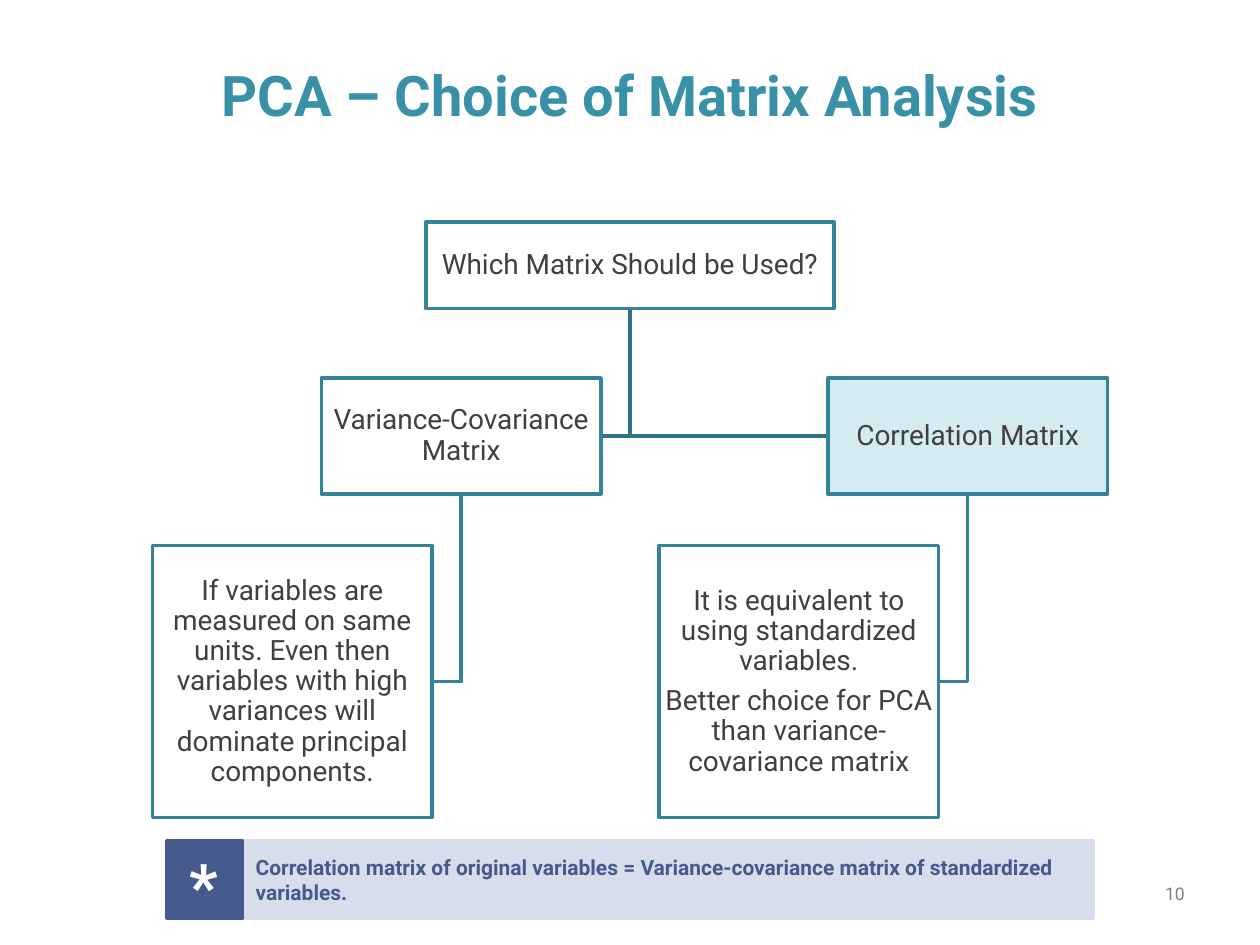
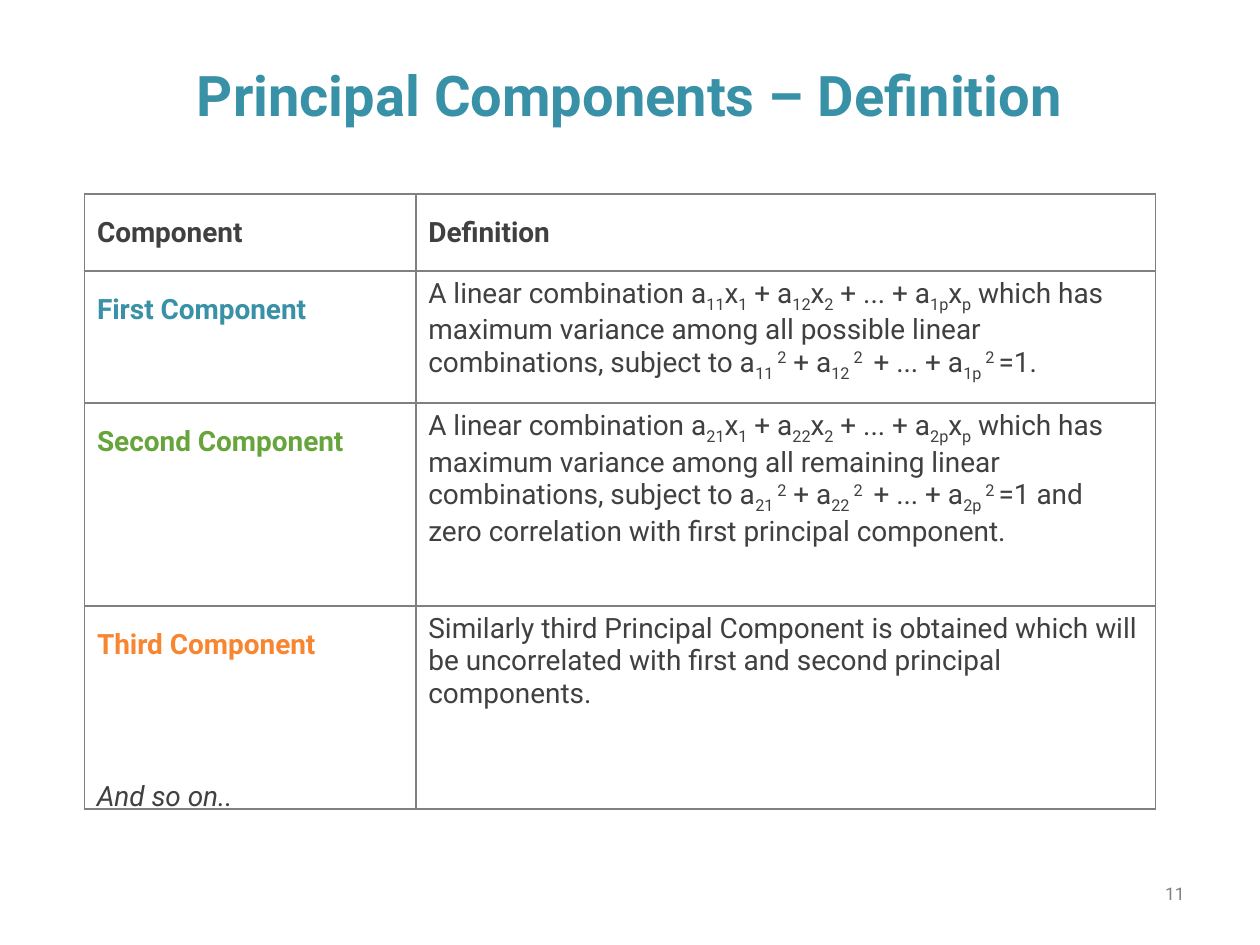
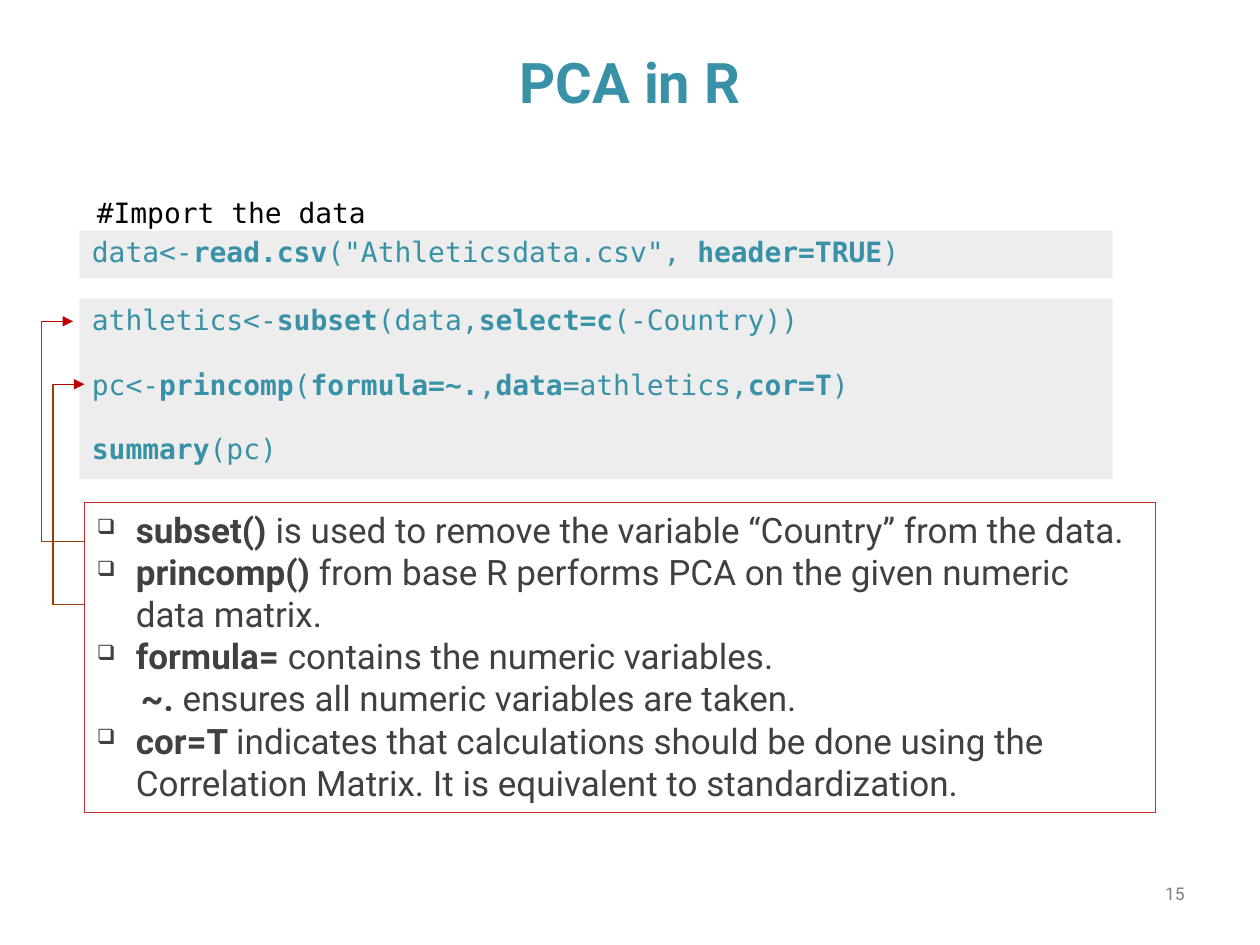
"""Builds three slides on principal component analysis: choice of matrix, definitions, R code."""
from lxml.etree import SubElement
from pptx import Presentation
from pptx.dml.color import RGBColor
from pptx.enum.shapes import MSO_CONNECTOR, MSO_SHAPE
from pptx.enum.text import MSO_ANCHOR, PP_ALIGN
from pptx.oxml.ns import qn
from pptx.util import Inches, Pt

TEAL = RGBColor(0x38, 0x91, 0xA7)
BOX_LINE = RGBColor(0x33, 0x84, 0x98)
BRANCH_LINE = RGBColor(0x2D, 0x74, 0x86)
PALE_TEAL = RGBColor(0xD4, 0xEB, 0xF1)
GREEN = RGBColor(0x67, 0xA5, 0x3C)
ORANGE = RGBColor(0xF8, 0x86, 0x31)
DARK = RGBColor(0x40, 0x40, 0x40)
GRAY = RGBColor(0x80, 0x80, 0x80)
CODE_GRAY = RGBColor(0xA6, 0xA6, 0xA6)
NAVY = RGBColor(0x47, 0x5A, 0x8D)
PALE_NAVY = RGBColor(0xD7, 0xDD, 0xEB)
RED = RGBColor(0xC3, 0x2D, 0x2E)
ARROW_RED = RGBColor(0xC0, 0, 0)
BROWN = RGBColor(0x96, 0x41, 0x01)
WHITE = RGBColor(0xFF, 0xFF, 0xFF)
BLACK = RGBColor(0, 0, 0)

SANS = "Roboto"
MONO = "DejaVu Sans Mono"
PLAIN_TABLE = "{2D5ABB26-0587-4C30-8999-92F81FD0307C}"
BASELINES = {"_": "-25000", "^": "30000"}

NODES = {
    "question": ((3.38, 1.76, 3.24, 0.69), WHITE, ["Which Matrix Should be Used?"]),
    "covariance": ((2.55, 3, 2.22, 0.92), WHITE, ["Variance-Covariance Matrix"]),
    "correlation": ((6.57, 3, 2.22, 0.92), PALE_TEAL, ["Correlation Matrix"]),
    "same units": ((1.21, 4.33, 2.22, 2.16), WHITE, [
        "If variables are measured on same units. Even then variables with high "
        "variances will dominate principal components."]),
    "standardized": ((5.23, 4.33, 2.22, 2.16), WHITE, [
        "It is equivalent to using standardized variables.",
        "Better choice for PCA than variance-covariance matrix"]),
}
BRANCHES = [
    ("correlation", "standardized", BOX_LINE),
    ("question", "correlation", BRANCH_LINE),
    ("covariance", "same units", BOX_LINE),
    ("question", "covariance", BRANCH_LINE),
]
NOTE = ("Correlation matrix of original variables = "
        "Variance-covariance matrix of standardized variables.")


def definition(number, kind, ending):
    """Return the marked-up definition of one numbered component."""
    return (f"A linear combination a|_{number}1|x|_1| + a|_{number}2|x|_2| + ... + "
            f"a|_{number}p|x|_p| which has maximum variance among all {kind} linear "
            f"combinations, subject to a|_{number}1|^ 2| + a|_{number}2|^ 2 | + ... + "
            f"a|_{number}p|^ 2 |=1{ending}")


COMPONENTS = [
    ("Component", DARK, "|!Definition", 0.61),
    ("First Component", TEAL, definition(1, "possible", "."), 1.05),
    ("Second Component", GREEN,
     definition(2, "remaining", " and zero correlation with first principal component."), 1.61),
    ("Third Component", ORANGE,
     "Similarly third Principal Component is obtained which will be uncorrelated "
     "with first and second principal components.", 1.61),
]

CODE_BLOCKS = [
    (1.83, 0.38, ['data<-|!read.csv|("Athleticsdata.csv", |!header=TRUE|)']),
    (2.37, 1.43, [
        "athletics<-|!subset|(data,|!select=c|(-Country))",
        "pc<-|!princomp|(|!formula=~.|,|!data|=athletics,|!cor=T|)",
        "|!summary|(pc)"]),
]
EXPLANATIONS = [
    (True, "|!subset() |is used to remove the variable “Country” from the data."),
    (True, "|!princomp() |from base R performs PCA on the given numeric data matrix."),
    (True, "|!formula=| contains the numeric variables."),
    (False, "|!~.| ensures all numeric variables are taken."),
    (True, "|!cor=T |indicates that calculations should be done using the Correlation "
           "Matrix. It is equivalent to standardization."),
]
CALLOUTS = [(0.33, 2.55, 0.58), (0.42, 3.05, 0.67)]
CALLOUT_DROP = 1.75
PANEL_LEFT = 0.67


def write(para, markup, size, colour, font=SANS, bold=False, italic=False, align=PP_ALIGN.LEFT):
    """Add runs split at bars; a leading ! is bold, _ is subscript, ^ is superscript."""
    para.alignment = align
    for part in filter(None, markup.split("|")):
        mark = part[0] if part[0] in "!_^" else ""
        span = para.add_run()
        span.text = part[len(mark):]
        span.font.size = Pt(size)
        span.font.name = font
        span.font.color.rgb = colour
        span.font.bold = bold or mark == "!"
        span.font.italic = italic
        if mark in BASELINES:
            span.font._element.set("baseline", BASELINES[mark])


def paragraphs(frame, count):
    """Return the first paragraph of a frame followed by new ones."""
    return [frame.paragraphs[0]] + [frame.add_paragraph() for _ in range(count - 1)]


def add_text(page, area, text, size, colour, anchor=MSO_ANCHOR.TOP, wrap=True, **style):
    box = page.shapes.add_textbox(*map(Inches, area))
    box.text_frame.word_wrap = wrap
    box.text_frame.vertical_anchor = anchor
    write(box.text_frame.paragraphs[0], text, size, colour, **style)


def add_box(page, area, fill, line, width=2, anchor=MSO_ANCHOR.MIDDLE):
    box = page.shapes.add_shape(MSO_SHAPE.RECTANGLE, *map(Inches, area))
    box.shadow.inherit = False
    box.fill.solid()
    box.fill.fore_color.rgb = fill
    box.line.color.rgb = line
    box.line.width = Pt(width)
    box.text_frame.word_wrap = True
    box.text_frame.vertical_anchor = anchor
    return box.text_frame


def add_line(page, start, end, colour, width, arrow=False):
    line = page.shapes.add_connector(MSO_CONNECTOR.STRAIGHT, *map(Inches, start + end))
    line.line.color.rgb = colour
    line.line.width = Pt(width)
    if arrow:
        SubElement(line.line._get_or_add_ln(), qn("a:tailEnd"), type="triangle")
    SubElement(line._element.spPr, qn("a:effectLst"))


def add_plain_table(page, left, top, widths, heights):
    area = map(Inches, (left, top, sum(widths), sum(heights)))
    table = page.shapes.add_table(len(heights), len(widths), *area).table
    table._tbl.tblPr.find(qn("a:tableStyleId")).text = PLAIN_TABLE
    table.first_row = table.horz_banding = False
    for column, width in zip(table.columns, widths):
        column.width = Inches(width)
    for row, height in zip(table.rows, heights):
        row.height = Inches(height)
    return table


def add_borders(cell):
    for side in "LRTB":
        line = SubElement(cell._tc.get_or_add_tcPr(), qn(f"a:ln{side}"), w=str(Pt(1)))
        fill = SubElement(line, qn("a:solidFill"))
        SubElement(fill, qn("a:srgbClr"), val=str(GRAY))


def add_page(deck, title, number, title_top=0.3):
    page = deck.slides.add_slide(deck.slide_layouts[6])
    add_text(page, (0.5, title_top, 9, 0.89), title, 32, TEAL,
             anchor=MSO_ANCHOR.MIDDLE, bold=True, align=PP_ALIGN.CENTER)
    add_text(page, (7.17, 6.83, 2.33, 0.52), str(number), 10, GRAY,
             anchor=MSO_ANCHOR.MIDDLE, align=PP_ALIGN.RIGHT)
    return page


def add_branch(page, parent, child, colour):
    """Draw an elbow from the parent's bottom centre to the child's near side."""
    left, top, width, height = parent
    x, y = left + width / 2, top + height
    child_left, child_top, child_width, child_height = child
    side = child_left if child_left > x else child_left + child_width
    middle = child_top + child_height / 2
    builder = page.shapes.build_freeform(Inches(x), Inches(y))
    builder.add_line_segments(
        [(Inches(x), Inches(middle)), (Inches(side), Inches(middle))], close=False)
    branch = builder.convert_to_shape()
    branch.shadow.inherit = False
    branch.fill.background()
    branch.line.color.rgb = colour
    branch.line.width = Pt(2)


def build_matrix_choice(deck):
    page = add_page(deck, "PCA – Choice of Matrix Analysis", 10)
    for parent, child, colour in BRANCHES:
        add_branch(page, NODES[parent][0], NODES[child][0], colour)
    for area, fill, texts in NODES.values():
        frame = add_box(page, area, fill, BOX_LINE)
        frame.margin_left = frame.margin_right = Inches(0.01)
        frame.margin_top = frame.margin_bottom = Inches(0.01)
        for para, text in zip(paragraphs(frame, len(texts)), texts):
            para.line_spacing = 0.9
            para.space_after = Pt(5.6)
            write(para, text, 16, DARK, align=PP_ALIGN.CENTER)
    note = add_box(page, (1.93, 6.67, 6.75, 0.62), PALE_NAVY, PALE_NAVY)
    write(note.paragraphs[0], NOTE, 12, NAVY, bold=True)
    star = add_box(page, (1.32, 6.67, 0.6, 0.62), NAVY, NAVY, anchor=MSO_ANCHOR.TOP)
    write(star.paragraphs[0], "*", 36, WHITE, bold=True, align=PP_ALIGN.CENTER)


def build_definitions(deck):
    page = add_page(deck, "Principal Components – Definition", 11)
    heights = [component[-1] for component in COMPONENTS]
    table = add_plain_table(page, PANEL_LEFT, 1.54, [2.63, 5.87], heights)
    for row, (name, colour, meaning, _) in zip(table.rows, COMPONENTS):
        for cell in row.cells:
            add_borders(cell)
            cell.fill.background()
        name_para, meaning_para = (cell.text_frame.paragraphs[0] for cell in row.cells)
        name_para.line_spacing = 1.5
        write(name_para, name, 16, colour, bold=True)
        write(meaning_para, meaning, 16, DARK)
    table.cell(0, 1).text_frame.paragraphs[0].line_spacing = 1.5
    add_text(page, (PANEL_LEFT, 6.13, 1.31, 0.37), "And so on..", 16, DARK,
             wrap=False, italic=True)


def add_code(page, top, height, lines):
    cell = add_plain_table(page, 0.63, top, [8.2], [height]).cell(0, 0)
    cell.fill.solid()
    cell.fill.fore_color.rgb = CODE_GRAY
    colour = cell._tc.tcPr.find(".//" + qn("a:srgbClr"))
    SubElement(colour, qn("a:alpha"), val="20000")
    for index, para in enumerate(paragraphs(cell.text_frame, len(lines))):
        if index:
            para.space_before = Pt(18.4)
        write(para, lines[index], 16, TEAL, font=MONO)


def add_bullet(para):
    properties = para._p.get_or_add_pPr()
    properties.set("marL", str(Inches(0.31)))
    properties.set("indent", str(-Inches(0.31)))
    SubElement(properties, qn("a:buSzPct"), val="60000")
    SubElement(properties, qn("a:buChar"), char="❑")


def build_code(deck):
    page = add_page(deck, "PCA in R", 15, title_top=0.2)
    add_text(page, (PANEL_LEFT, 1.5, 8.58, 0.37), "#Import the data", 16, BLACK, font=MONO)
    for block in CODE_BLOCKS:
        add_code(page, *block)
    frame = add_box(page, (PANEL_LEFT, 3.99, 8.5, 2.46), WHITE, RED, 0.25, MSO_ANCHOR.TOP)
    for para, (bulleted, text) in zip(paragraphs(frame, len(EXPLANATIONS)), EXPLANATIONS):
        if bulleted:
            add_bullet(para)
        else:
            para._p.get_or_add_pPr().set("marL", str(Inches(0.35)))
        write(para, text, 20, DARK)
    for x, top, tip in CALLOUTS:
        bottom = top + CALLOUT_DROP
        add_line(page, (x, top), (tip, top), ARROW_RED, 0.25, arrow=True)
        add_line(page, (x, top), (x, bottom), BROWN, 0.75)
        add_line(page, (x, bottom), (PANEL_LEFT, bottom), BROWN, 0.75)


def main():
    deck = Presentation()
    deck.slide_width = Inches(10)
    deck.slide_height = Inches(7.5)
    build_matrix_choice(deck)
    build_definitions(deck)
    build_code(deck)
    deck.save("out.pptx")


if __name__ == "__main__":
    main()
